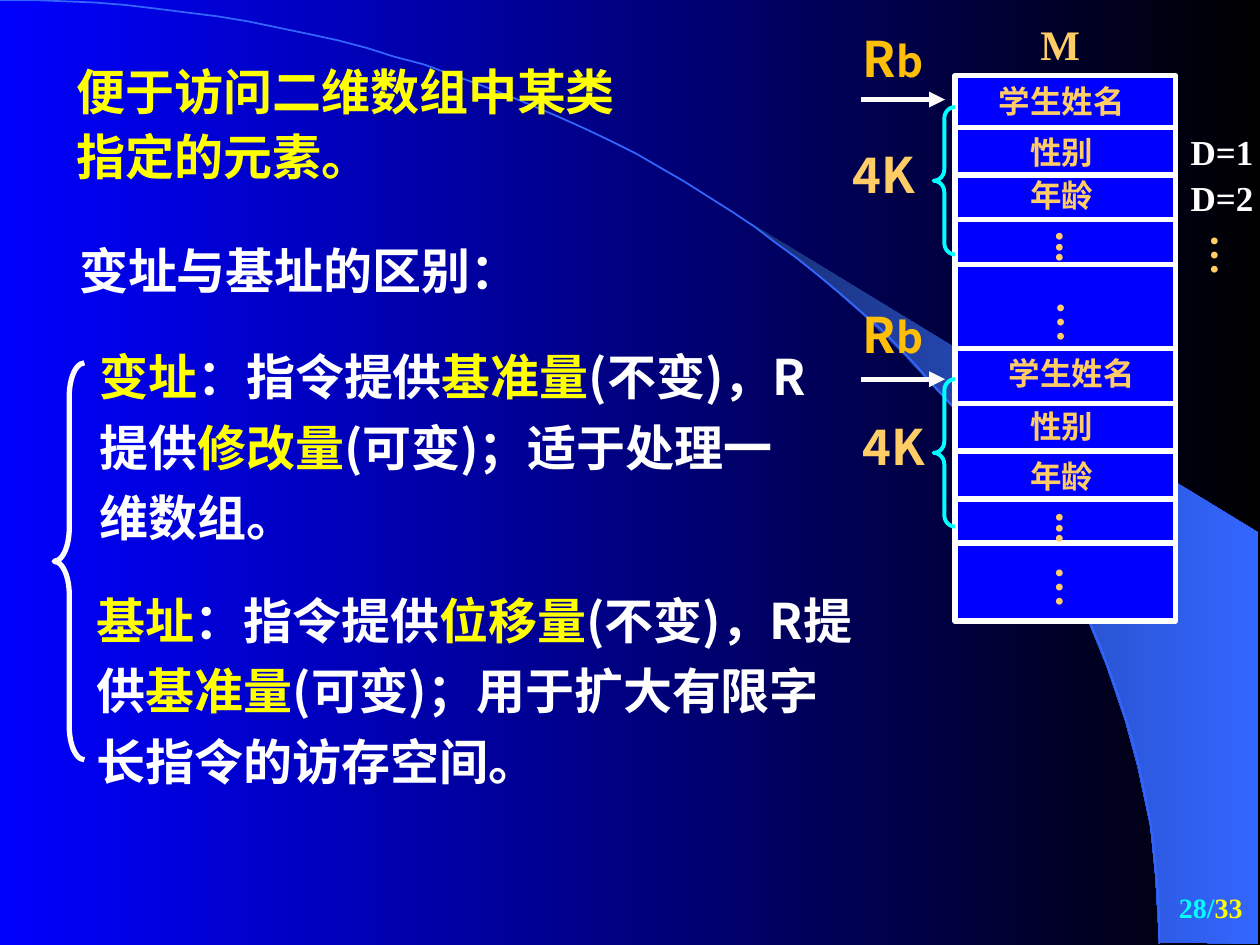
import lxml.etree
import pptx
import pptx.dml.color
import pptx.enum.shapes
import pptx.enum.text
import pptx.oxml.ns
import pptx.util

PX = 9144
SANS = "Noto Sans CJK SC"
SERIF = "Times New Roman"
GOLD, AMBER, YELLOW = "FFCC66", "FFBF09", "FFFF00"
WHITE, PALE, CYAN, BLUE = "FFFFFF", "FDFBFB", "00FFFF", "0000FF"
SHAPE = pptx.enum.shapes.MSO_SHAPE
ALIGN = pptx.enum.text.PP_ALIGN
ANCHOR = pptx.enum.text.MSO_ANCHOR


def px(*nums):
    return [pptx.util.Emu(round(n * PX)) for n in nums]


def color(code):
    return pptx.dml.color.RGBColor.from_string(code)


def apply(item, style):
    for key, value in style.items():
        setattr(item, key, value)


def add_tag(node, tag, **attrs):
    return lxml.etree.SubElement(node, pptx.oxml.ns.qn(tag), attrs)


def blend(fill, start, end):
    fill.gradient()
    fill.gradient_angle = 0
    for stop, code in zip(fill.gradient_stops, (start, end)):
        stop.color.rgb = color(code)


def stroke(item, code, width):
    item.line.color.rgb = color(code)
    item.line.width = pptx.util.Pt(width)


def text(slide, box, paras, size, font=SERIF, frame=None, para=None, vert=False):
    label = slide.shapes.add_textbox(*px(*box)).text_frame
    label.word_wrap = True
    label.auto_size = pptx.enum.text.MSO_AUTO_SIZE.SHAPE_TO_FIT_TEXT
    if vert:
        label._txBody.bodyPr.set("vert", "eaVert")
        sides = px(5, 10, 5, 10)
        names = ("margin_left", "margin_top", "margin_right", "margin_bottom")
        apply(label, dict(zip(names, sides)))
    apply(label, frame or {})
    for index, runs in enumerate(paras):
        line = label.add_paragraph() if index else label.paragraphs[0]
        apply(line, para or {})
        if index:
            line.space_before = pptx.util.Pt(17.5)
        for words, code, *extra in runs:
            run = line.add_run()
            run.text = words
            look = {"name": font, "size": size, "bold": True, **(extra[0] if extra else {})}
            look["size"] = pptx.util.Pt(look["size"])
            run.font.color.rgb = color(code)
            apply(run.font, look)
            add_tag(run._r.get_or_add_rPr(), "a:ea", typeface=SANS)


def line(slide, start, end, code, arrow=False):
    kind = pptx.enum.shapes.MSO_CONNECTOR.STRAIGHT
    link = slide.shapes.add_connector(kind, *px(*start, *end))
    stroke(link, code, 3)
    if arrow:
        add_tag(link.line._get_or_add_ln(), "a:tailEnd", type="triangle")
    add_tag(link._element.spPr, "a:effectLst")
    return link


def brace(slide, box, code, width, curl):
    mark = slide.shapes.add_shape(SHAPE.LEFT_BRACE, *px(*box))
    mark.shadow.inherit = False
    mark.fill.background()
    mark.adjustments[0] = curl
    stroke(mark, code, width)


def outline(slide, points, close):
    pen = slide.shapes.build_freeform(*points[0], scale=PX)
    pen.add_line_segments(points[1:], close=close)
    shape = pen.convert_to_shape()
    shape.shadow.inherit = False
    return shape


def backdrop(slide, box):
    left, top, width, height = box
    blend(slide.background.fill, BLUE, "000000")
    edge = [(920, 748), (999, 749), (999, 423), (589, 173), (624, 199), (653, 222),
            (685, 250), (716, 280), (762, 330), (803, 384), (832, 431), (858, 479),
            (878, 528), (893, 572), (903, 609), (913, 656), (917, 696)]
    wing = outline(slide, [(left + x, top + y) for x, y in edge], True)
    blend(wing.fill, "182F76", "3366FF")
    wing.line.fill.background()
    curve = []
    for step in range(61):
        t = step / 60
        u = 1 - t
        x = 3 * u * u * t * 508 + 3 * u * t * t * 920 + t ** 3 * 920
        y = 3 * u * t * t * 335 + t ** 3 * 749
        curve.append((left + x, top + y))
    arc = outline(slide, curve, False)
    arc.fill.background()
    stroke(arc, "3366FF", 1)


def rule(slide, box, name, fixed, change, ending):
    serif = {"name": SERIF}
    sans = {"name": SANS}
    runs = [(name, YELLOW, serif), ("：指令提供", WHITE, serif), (fixed, YELLOW, serif),
            ("(", WHITE, sans), ("不变", WHITE, serif), (")", WHITE, sans),
            ("，", WHITE, serif), ("R提供", WHITE, sans), (change, YELLOW, sans),
            ("(可变)；" + ending, WHITE, sans)]
    text(slide, box, [runs], 28, para={"line_spacing": 1.2})


def notes(slide, box):
    left, top, width, height = box
    text(slide, (left + 8, top, 572, 91),
         [[("便于访问二维数组中某类", YELLOW)], [("指定的元素。", YELLOW)]],
         28, SANS, para={"line_spacing": 0.6})
    text(slide, (left + 10, top + 126, 375, 57), [[("变址与基址的区别：", WHITE)]], 28)
    rule(slide, (left + 26, top + 201, 588, 178),
         "变址", "基准量", "修改量", "适于处理一维数组。")
    rule(slide, (left + 24, top + 394, 622, 178),
         "基址", "位移量", "基准量", "用于扩大有限字长指令的访存空间。")
    brace(slide, (left, top + 228, 24, 315), PALE, 3, 1.1)


def record(slide, box, base, span, names, dots):
    left, top, width, height = box
    text(slide, (left - 83, top + base[0], 92, 57),
         [[("R", AMBER), ("b", AMBER, {"size": 24})]], 28, SANS)
    level = top + base[1]
    line(slide, (left - 75, level), (left - 8, level), PALE, True)
    brace(slide, (left - 17, top + span[0], 17, 117), CYAN, 2.25, 0.53)
    text(slide, (left + span[1], top + span[2], 92, 57), [[("4K", GOLD)]], 28, SANS)
    for words, (x, y) in zip(("学生姓名", "性别", "年龄"), names):
        text(slide, (left + x, top + y, 133, 40), [[(words, GOLD)]], 18)
    for words, (x, y, tall) in zip(("...", "…"), dots):
        text(slide, (left + x, top + y, 60, tall), [[(words, GOLD)]], 24, vert=True)


def memory(slide, box):
    left, top, width, height = box
    block = slide.shapes.add_shape(SHAPE.RECTANGLE, *px(*box))
    block.shadow.inherit = False
    block.fill.solid()
    block.fill.fore_color.rgb = color(BLUE)
    stroke(block, WHITE, 3)
    for y in (41, 79, 114, 150, 217, 260, 298, 336, 371):
        row = line(slide, (left, top + y), (left + width, top + y), WHITE)
        if y == round(height / 2 + 0.5):
            row.begin_connect(block, 1)
            row.end_connect(block, 3)
    text(slide, (left + 58, top - 50, 100, 50), [[("M", GOLD)]], 24)
    record(slide, box, (-42, 19), (25, -91, 50),
           [(25, 0), (50, 41), (50, 75)], [(59, 114, 58), (60, 169, 50)])
    record(slide, box, (177, 241), (241, -83, 266),
           [(33, 216), (50, 258), (50, 298)], [(59, 337, 58), (59, 380, 50)])
    for words, y in (("D=1", 39), ("D=2", 75)):
        text(slide, (left + 177, top + y, 65, 44), [[(words, WHITE)]], 20,
             frame={"margin_right": 0})
    text(slide, (left + 182, top + 116, 60, 50), [[("…", GOLD)]], 24, vert=True)


def pager(slide, box):
    text(slide, box, [[("28/", CYAN), ("33", YELLOW)]], 16,
         frame={"vertical_anchor": ANCHOR.MIDDLE,
                "auto_size": pptx.enum.text.MSO_AUTO_SIZE.NONE},
         para={"alignment": ALIGN.RIGHT})


def main():
    deck = pptx.Presentation()
    deck.slide_width, deck.slide_height = px(1000, 750)
    slide = deck.slides.add_slide(deck.slide_layouts[6])
    backdrop(slide, (0, 0, 1000, 750))
    pager(slide, (788, 695, 208, 50))
    notes(slide, (43, 60, 646, 572))
    memory(slide, (758, 60, 175, 433))
    deck.save("out.pptx")


if __name__ == "__main__":
    main()
